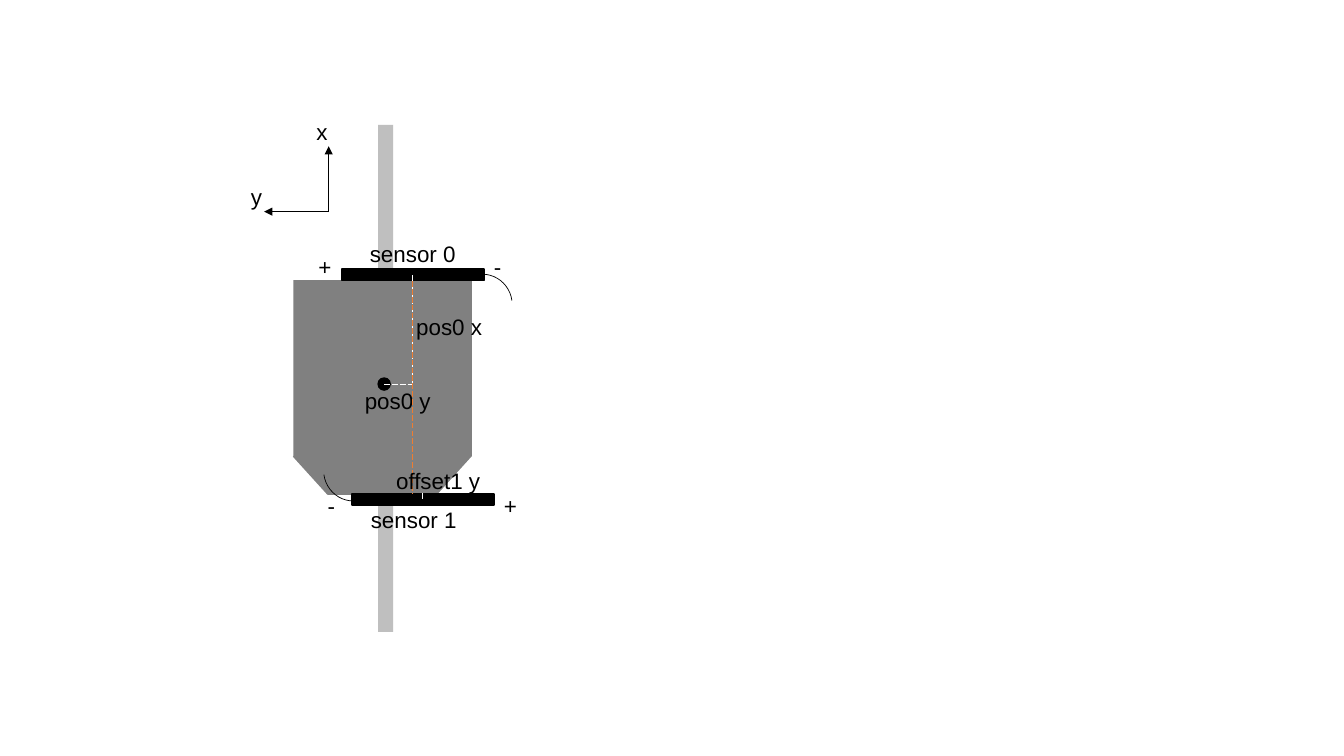
from pptx import Presentation
from pptx.dml.color import RGBColor
from pptx.enum.dml import MSO_LINE
from pptx.enum.shapes import MSO_CONNECTOR, MSO_SHAPE as Preset
from pptx.enum.text import MSO_AUTO_SIZE as AutoSize
from pptx.oxml.ns import qn
from pptx.util import Inches, Pt
from lxml.etree import SubElement

COLORS = {
    "ink": "000000",
    "body": "808080",
    "track": "BFBFBF",
    "guide": "FFFFFF",
    "axis": "ED7D31",
}


class Diagram:
    """Draws on one slide; lengths are columns and rows of a 0.1 inch grid."""

    CELL = Inches(0.1)
    FONT, SIZE, THIN = "Arial", 16, 0.5
    LABEL_HEIGHT = 3.7

    def __init__(self, slide):
        self.shapes = slide.shapes

    def grid(self, *cells):
        return [round(cell * self.CELL) for cell in cells]

    def color(self, name):
        return RGBColor.from_string(COLORS[name])

    def stroke(self, line, color, width):
        line.color.rgb = self.color(color)
        line.width = Pt(width)

    def block(self, col, row, cols, rows, fill=None, border=None, width=1,
              turn=0, preset=Preset.RECTANGLE):
        shape = self.shapes.add_shape(preset, *self.grid(col, row, cols, rows))
        shape.shadow.inherit = False
        shape.rotation = turn
        if fill:
            shape.fill.solid()
            shape.fill.fore_color.rgb = self.color(fill)
        else:
            shape.fill.background()
        if border:
            self.stroke(shape.line, border, width)
        else:
            shape.line.fill.background()

    def line(self, start, end, color="ink", dashed=False, arrow=False):
        link = self.shapes.add_connector(
            MSO_CONNECTOR.STRAIGHT, *self.grid(*start, *end))
        self.stroke(link.line, color, self.THIN)
        if dashed:
            link.line.dash_style = MSO_LINE.LONG_DASH
        if arrow:
            SubElement(link.line._get_or_add_ln(), qn("a:tailEnd"), type="triangle")
        SubElement(link._element.spPr, qn("a:effectLst"))

    def label(self, text, col, row, cols):
        box = self.shapes.add_textbox(
            *self.grid(col, row, cols, self.LABEL_HEIGHT))
        frame = box.text_frame
        frame.text = text
        frame.word_wrap = False
        frame.auto_size = AutoSize.SHAPE_TO_FIT_TEXT
        font = frame.paragraphs[0].runs[0].font
        font.name, font.size = self.FONT, Pt(self.SIZE)
        font.color.rgb = self.color("ink")

    def sensor(self, col, row, arc_col, arc_row, turn):
        self.block(col, row, 14.1, 1.1, "ink", "ink", turn=turn - turn % 180)
        self.block(arc_col, arc_row, 5.9, 6, border="ink", width=self.THIN,
                   turn=(turn + 172.4) % 360, preset=Preset.ARC)


def main():
    deck = Presentation()
    deck.slide_width, deck.slide_height = Inches(13.33), Inches(7.5)
    diagram = Diagram(deck.slides.add_slide(deck.slide_layouts[6]))

    # Track and robot body with its two slanted corners
    diagram.block(37.5, 12.4, 1.5, 50.3, "track")
    diagram.block(29.1, 27.8, 17.7, 17.5, "body")
    for corner_col, turn in ((29.9, 317.8), (39.2, 222.2)):
        diagram.block(corner_col, 42.4, 6.7, 5.1, "body", turn=turn)
    diagram.block(32.5, 42.9, 10.8, 6.2, "body")

    # Front sensor
    diagram.sensor(33.9, 26.7, 44.9, 27.2, turn=180)

    # Coordinate axes
    origin = (32.6, 21)
    for tip in ((26.2, 21), (32.6, 14.5)):
        diagram.line(origin, tip, arrow=True)
    diagram.label("x", 30.4, 11.2, 3.1)
    diagram.label("y", 23.9, 17.7, 3.1)

    # Centre point and its offsets from the front sensor
    diagram.line((40.9, 27.3), (40.9, 38), "guide", dashed=True)
    diagram.block(37.5, 37.5, 1.2, 1.2, "ink", "ink", preset=Preset.OVAL)
    diagram.line((38.1, 38.1), (40.9, 38.1), "guide", dashed=True)
    diagram.label("+", 30.6, 24.6, 3.3)
    diagram.label("-", 48, 24.6, 2.8)
    diagram.label("pos0 y", 35.2, 37.9, 8.6)
    diagram.label("pos0 x", 40.3, 30.6, 8.6)
    diagram.label("sensor 0", 35.7, 23.3, 10.6)

    # Rear sensor
    diagram.sensor(34.9, 49, 32.1, 43.7, turn=0)
    diagram.label("-", 31.5, 48.3, 2.8)
    diagram.label("+", 49, 48.3, 3.3)
    diagram.label("sensor 1", 35.8, 49.7, 10.6)

    # Centre axis and rear sensor offset
    diagram.line((40.9, 27.9), (40.9, 49), "axis", dashed=True)
    diagram.line((41.9, 49.5), (41.9, 48.9), "guide")
    diagram.label("offset1 y", 38.3, 45.9, 10.5)

    deck.save("out.pptx")


if __name__ == "__main__":
    main()
